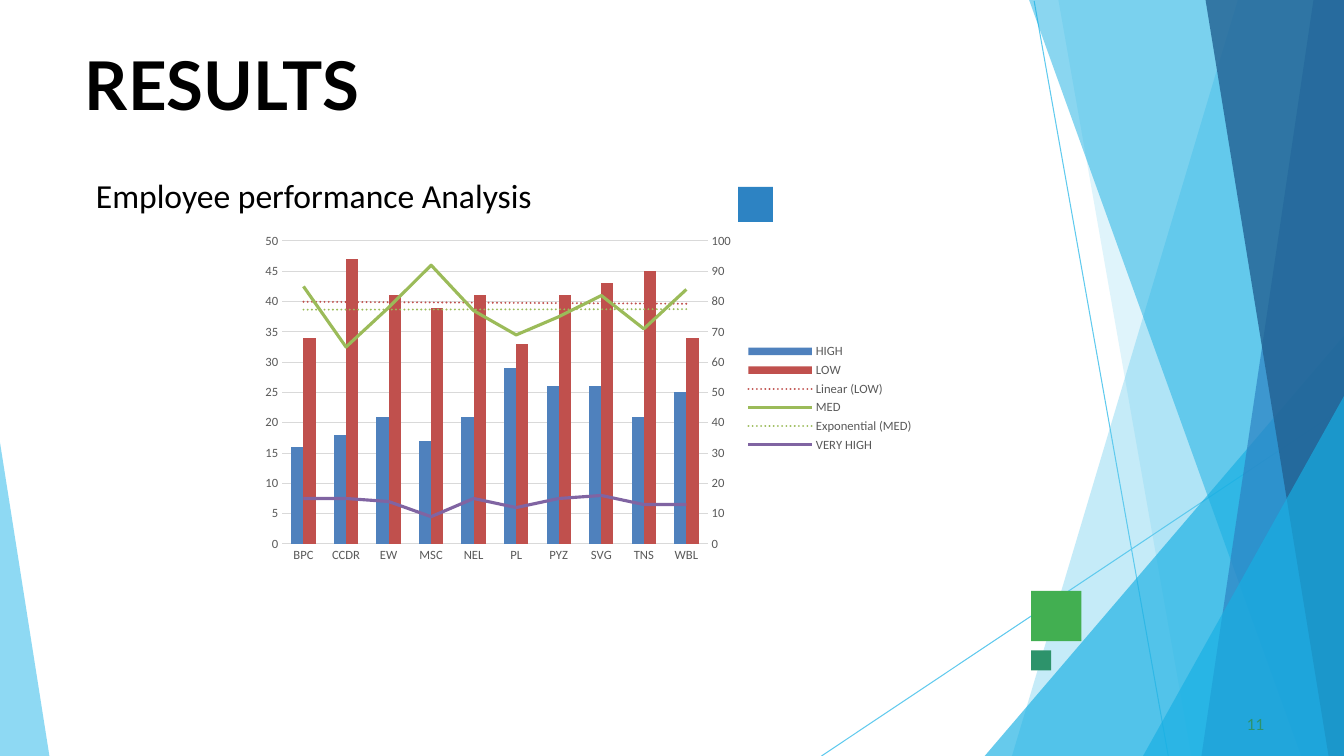
from copy import deepcopy
from dataclasses import dataclass

from pptx import Presentation
from pptx import util as u
from pptx.chart import data as chart_data
from pptx.dml.color import RGBColor
from pptx.enum import chart as chart_enum
from pptx.enum import shapes
from pptx.oxml import parse_xml
from pptx.oxml.ns import nsdecls

WIDTH, HEIGHT = 960, 540

TREND = """<c:trendline {ns}><c:spPr><a:ln w="19050" cap="rnd">
<a:solidFill><a:srgbClr val="{color}"/></a:solidFill><a:prstDash val="sysDot"/></a:ln></c:spPr>
<c:trendlineType val="{kind}"/><c:dispRSqr val="0"/><c:dispEq val="0"/></c:trendline>"""
LINE_PLOT = """<c:lineChart {ns}><c:grouping val="standard"/><c:varyColors val="0"/>
<c:marker val="1"/><c:axId val="{category}"/><c:axId val="{value}"/></c:lineChart>"""


@dataclass(frozen=True)
class Theme:
    sky: str = "5FCAEE"
    cyan: str = "17AFE3"
    blue: str = "2D83C3"
    navy: str = "226192"
    green: str = "42AF51"
    teal: str = "2D936B"
    black: str = "000000"
    label: str = "595959"
    grid: str = "D9D9D9"
    high: str = "4F81BD"
    low: str = "C0504D"
    med: str = "9BBB59"
    very_high: str = "8064A2"
    heading_font: str = "Lato"
    body_font: str = "Calibri"
    title_size: float = 48
    body_size: float = 24
    number_size: float = 11
    label_size: float = 9


class SlideBuilder:
    def __init__(self, page, theme):
        self.page = page
        self.theme = theme

    def paint(self, shape, color, opacity=100):
        shape.shadow.inherit = False
        shape.fill.solid()
        shape.fill.fore_color.rgb = RGBColor.from_string(color)
        shape.line.fill.background()
        if opacity < 100:
            tint = shape._element.spPr.xpath("./a:solidFill/a:srgbClr")[0]
            tint.append(parse_xml(f'<a:alpha {nsdecls("a")} val="{opacity * 1000}"/>'))

    def polygon(self, points, color, opacity):
        start, *rest = [(u.Pt(x), u.Pt(y)) for x, y in points]
        outline = self.page.shapes.build_freeform(*start)
        outline.add_line_segments(rest, close=True)
        self.paint(outline.convert_to_shape(), color, opacity)

    def pane(self, top, bottom, color, opacity):
        points = [(WIDTH, 0), (top, 0), (bottom, HEIGHT), (WIDTH, HEIGHT)]
        self.polygon(points, color, opacity)

    def wedge(self, top, bottom, color, opacity):
        points = [(WIDTH, top), (bottom, HEIGHT), (WIDTH, HEIGHT)]
        self.polygon(points, color, opacity)

    def square(self, left, top, side, color):
        box = self.page.shapes.add_shape(
            shapes.MSO_SHAPE.RECTANGLE, u.Pt(left), u.Pt(top), u.Pt(side), u.Pt(side))
        self.paint(box, color)

    def line(self, *ends):
        connector = self.page.shapes.add_connector(
            shapes.MSO_CONNECTOR.STRAIGHT, *map(u.Pt, ends))
        connector.line.color.rgb = RGBColor.from_string(self.theme.sky)
        connector.line.width = u.Pt(0.75)
        connector._element.spPr.append(parse_xml(f'<a:effectLst {nsdecls("a")}/>'))

    def text(self, words, place, font, size, color, bold=False, before=0):
        box = self.page.shapes.add_textbox(*map(u.Pt, place))
        frame = box.text_frame
        frame.word_wrap = True
        frame.margin_left = frame.margin_right = frame.margin_top = frame.margin_bottom = 0
        frame.text = words
        para = frame.paragraphs[0]
        para.space_before = u.Pt(before)
        self.style(para.runs[0].font, font, size, color, bold)

    def style(self, target, font, size, color, bold=False):
        target.name = font
        target.size = u.Pt(size)
        target.bold = bold
        target.color.rgb = RGBColor.from_string(color)

    def axis(self, axis):
        axis.major_tick_mark = axis.minor_tick_mark = chart_enum.XL_TICK_MARK.NONE
        axis.format.line.color.rgb = RGBColor.from_string(self.theme.grid)
        axis.format.line.width = u.Pt(0.75)
        self.style(axis.tick_labels.font, self.theme.body_font,
                   self.theme.label_size, self.theme.label)

    def right_axis(self, chart, maximum, unit):
        plot_area = chart._chartSpace.xpath(".//c:plotArea")[0]
        left, bottom = plot_area.xpath("./c:valAx")[0], plot_area.xpath("./c:catAx")[0]
        right, hidden = deepcopy(left), deepcopy(bottom)
        right.remove(right.xpath("./c:majorGridlines")[0])
        changes = [
            (right, "c:axId", "2002"), (right, "c:crossAx", "2001"),
            (right, "c:axPos", "r"), (right, "c:crosses", "max"),
            (right, "c:scaling/c:max", str(maximum)), (right, "c:majorUnit", str(unit)),
            (hidden, "c:axId", "2001"), (hidden, "c:crossAx", "2002"),
            (hidden, "c:delete", "1"),
        ]
        for axis, tag, value in changes:
            axis.xpath(f"./{tag}")[0].set("val", value)
        left.addnext(right)
        right.addnext(hidden)

        columns = plot_area.xpath("./c:barChart")[0]
        lines = parse_xml(LINE_PLOT.format(ns=nsdecls("c"), category=2001, value=2002))
        columns.addnext(lines)
        for series in columns.xpath("./c:ser")[2:]:
            for flag in series.xpath("./c:invertIfNegative"):
                series.remove(flag)
            lines.xpath("./c:marker")[0].addprevious(series)

    def trend(self, series, kind, color):
        xml = TREND.format(ns=nsdecls("c", "a"), kind=kind, color=color)
        series._element.xpath("./c:cat")[0].addprevious(parse_xml(xml))

    def combined_chart(self, place, categories, values):
        theme = self.theme
        source = chart_data.CategoryChartData()
        source.categories = categories
        for name, numbers in values.items():
            source.add_series(name, numbers)
        chart = self.page.shapes.add_chart(
            chart_enum.XL_CHART_TYPE.COLUMN_CLUSTERED, *map(u.Pt, place), source).chart
        chart.has_title = False
        self.style(chart.font, theme.body_font, 10, theme.black)
        chart.has_legend = True
        chart.legend.position = chart_enum.XL_LEGEND_POSITION.RIGHT
        chart.legend.include_in_layout = False
        self.style(chart.legend.font, theme.body_font, theme.label_size, theme.label)

        self.axis(chart.category_axis)
        scale = chart.value_axis
        self.axis(scale)
        scale.format.line.fill.background()
        scale.minimum_scale, scale.maximum_scale, scale.major_unit = 0, 50, 5
        scale.major_gridlines.format.line.color.rgb = RGBColor.from_string(theme.grid)
        scale.major_gridlines.format.line.width = u.Pt(0.75)
        self.right_axis(chart, 100, 10)

        columns, lines = chart.plots
        columns.gap_width, columns.overlap = 150, 0
        columns.vary_by_categories = False
        for series, color in zip(columns.series, (theme.high, theme.low)):
            series.format.fill.solid()
            series.format.fill.fore_color.rgb = RGBColor.from_string(color)
        for series, color in zip(lines.series, (theme.med, theme.very_high)):
            series.smooth = False
            series.marker.style = chart_enum.XL_MARKER_STYLE.NONE
            series.format.line.color.rgb = RGBColor.from_string(color)
            series.format.line.width = u.Pt(2.25)
        self.trend(columns.series[1], "linear", theme.low)
        self.trend(lines.series[0], "exp", theme.med)


def main():
    deck = Presentation()
    deck.slide_width, deck.slide_height = u.Pt(WIDTH), u.Pt(HEIGHT)
    theme = Theme()
    slide = SlideBuilder(deck.slides.add_slide(deck.slide_layouts[6]), theme)

    slide.line(738.7, 0.7, 834.5, HEIGHT)
    slide.line(WIDTH, 290.9, 586.8, HEIGHT)
    slide.pane(884.2, 722.9, theme.sky, 36)
    slide.pane(756, 851, theme.sky, 20)
    slide.wedge(239.8, 703.4, theme.cyan, 66)
    slide.pane(735.1, 929.5, theme.cyan, 50)
    slide.pane(938.2, 858.2, theme.blue, 70)
    slide.pane(861.1, 949, theme.navy, 80)
    slide.wedge(283, 816.5, theme.cyan, 66)
    slide.polygon([(0, 316.1), (0, HEIGHT), (35.3, HEIGHT)], theme.sky, 70)

    slide.square(736.5, 422, 36, theme.green)
    slide.square(527.2, 133.5, 25, theme.blue)
    slide.square(736.5, 464.5, 14.4, theme.teal)

    slide.text("RESULTS", (60.7, 31, 840, 59), theme.heading_font,
               theme.title_size, theme.black, bold=True, before=1.1)
    slide.text("Employee performance Analysis", (68.5, 124.6, 840, 29),
               theme.body_font, theme.body_size, theme.black)
    slide.text("11", (890.6, 510.6, 18, 15), theme.heading_font,
               theme.number_size, theme.teal, before=0.6)

    slide.combined_chart(
        (180, 162, 480, 244.8),
        ["BPC", "CCDR", "EW", "MSC", "NEL", "PL", "PYZ", "SVG", "TNS", "WBL"],
        {"HIGH": [16, 18, 21, 17, 21, 29, 26, 26, 21, 25],
         "LOW": [34, 47, 41, 39, 41, 33, 41, 43, 45, 34],
         "MED": [85, 65, 78, 92, 77, 69, 75, 82, 71, 84],
         "VERY HIGH": [15, 15, 14, 9, 15, 12, 15, 16, 13, 13]})
    deck.save("out.pptx")


if __name__ == "__main__":
    main()
